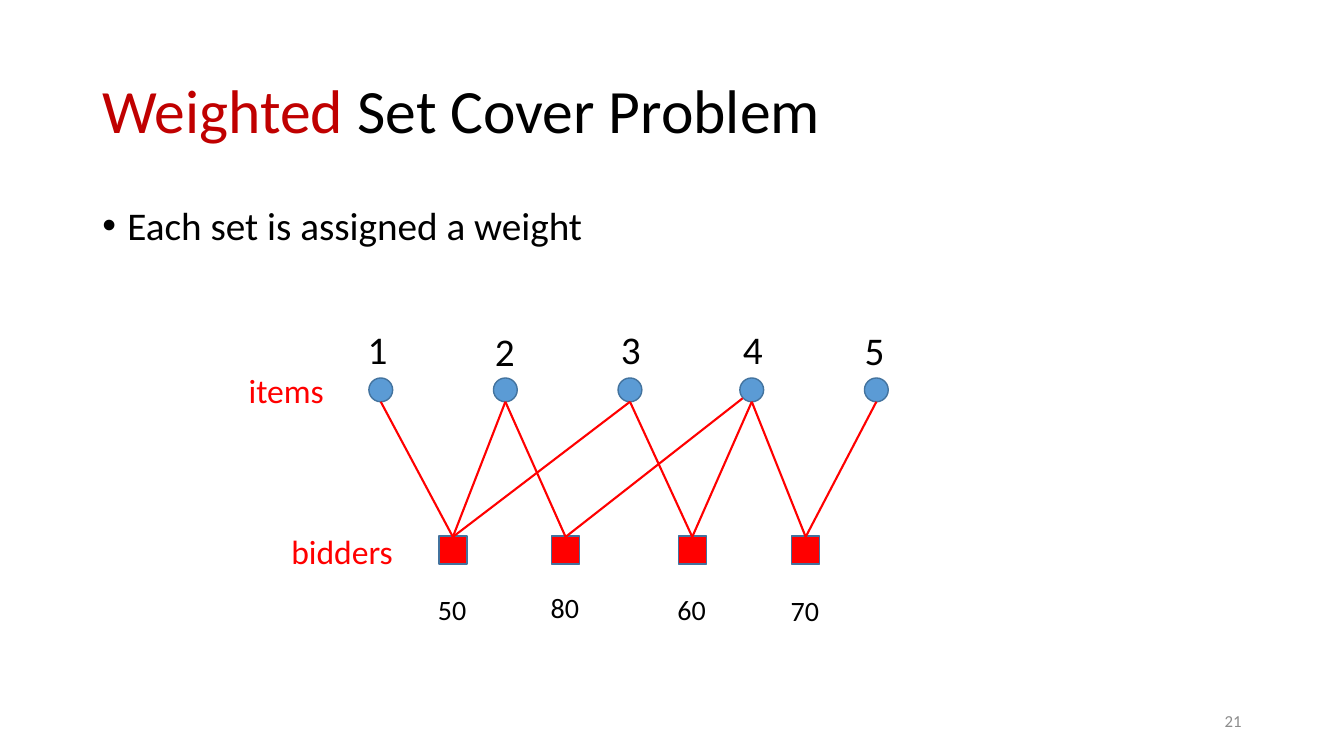
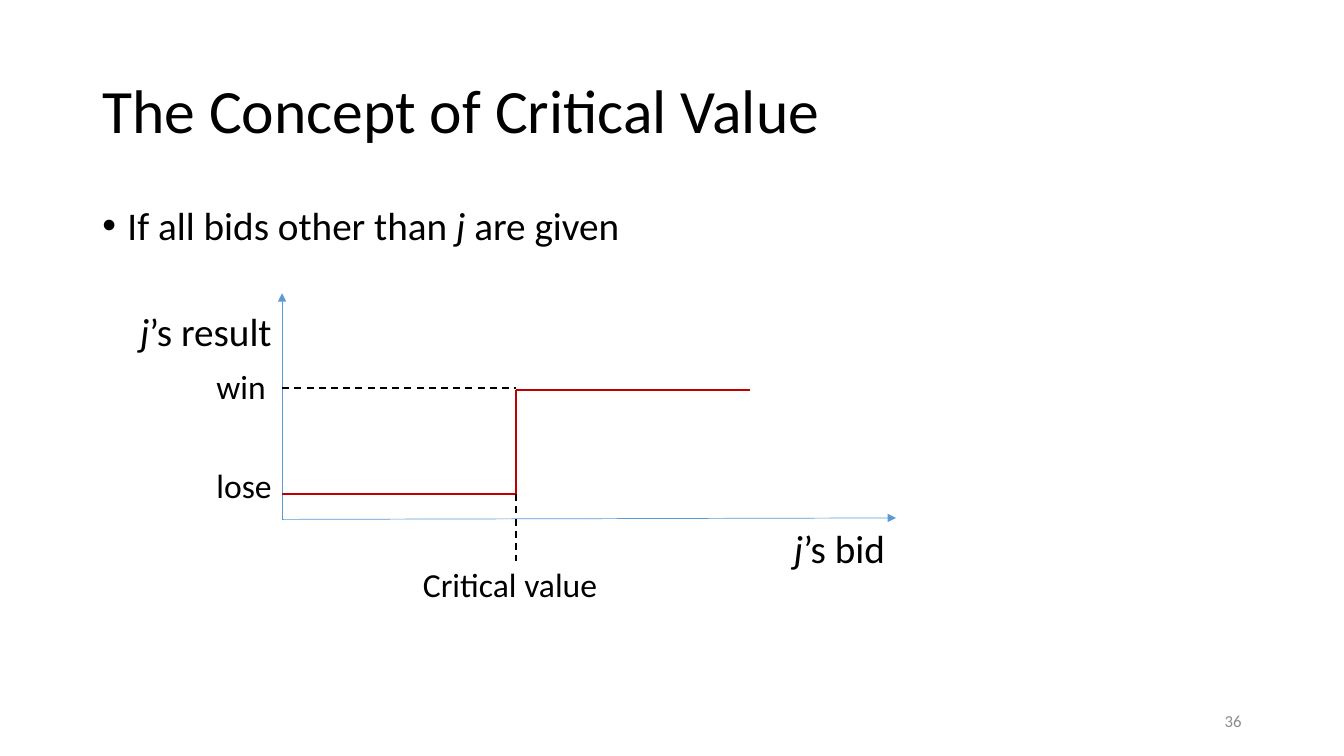
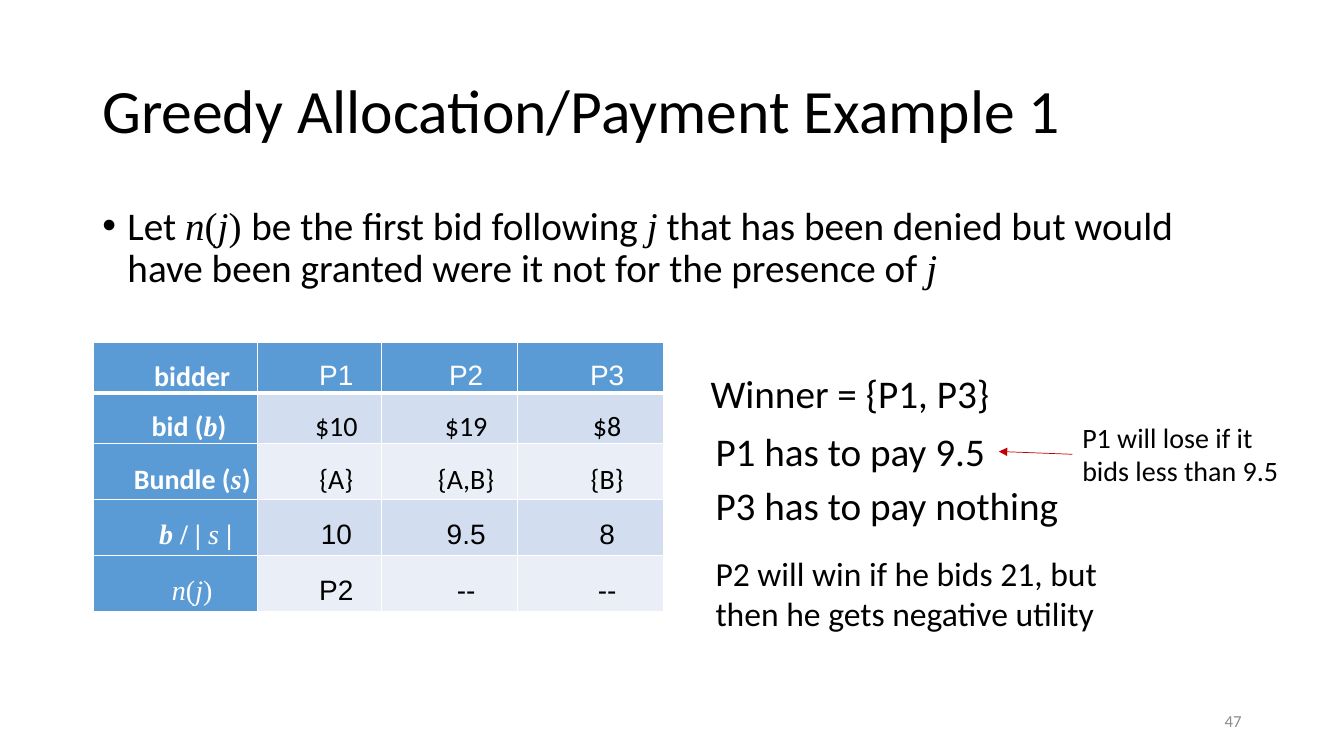
from lxml import etree
from pptx import Presentation
from pptx.dml.color import RGBColor
from pptx.enum import dml, shapes, text
from pptx.oxml import ns
from pptx.util import Pt

BLACK = RGBColor(0x00, 0x00, 0x00)
WHITE = RGBColor(0xFF, 0xFF, 0xFF)
GRAY = RGBColor(0x8C, 0x8C, 0x8C)
RED = RGBColor(0xFF, 0x00, 0x00)
DARK = RGBColor(0xC0, 0x00, 0x00)
BLUE = RGBColor(0x5B, 0x9B, 0xD5)
EDGE = RGBColor(0x43, 0x73, 0x9E)
PALE = RGBColor(0xD2, 0xDE, 0xEF)
LIGHT = RGBColor(0xEA, 0xEF, 0xF7)
LEFT, MID, RIGHT = text.PP_ALIGN.LEFT, text.PP_ALIGN.CENTER, text.PP_ALIGN.RIGHT
TOP, CENTER, BOTTOM = text.MSO_ANCHOR.TOP, text.MSO_ANCHOR.MIDDLE, text.MSO_ANCHOR.BOTTOM


def say(host, runs, box=None, size=28, ink=BLACK, align=LEFT, anchor=TOP,
        wrap=True, lead=None, before=None, indent=None, bullet=None):
    """Write runs in a new box on a slide, or in a table cell.

    A run is a string or (string, flags): b bold, i italic, t Times,
    a Arial, r dark red.
    """
    if box:
        host = host.shapes.add_textbox(*map(Pt, box))
        host.text_frame.word_wrap = wrap
        host.text_frame.vertical_anchor = anchor
    else:
        host.vertical_anchor = anchor
    para = host.text_frame.paragraphs[0]
    para.alignment = align
    para.line_spacing = lead
    if before:
        para.space_before = Pt(before)
    props = para._p.get_or_add_pPr()
    if indent:
        props.set("marL", str(Pt(indent[0])))
        props.set("indent", str(Pt(indent[1])))
    if bullet:
        etree.SubElement(props, ns.qn("a:buFont")).set("typeface", "Arial")
        etree.SubElement(props, ns.qn("a:buChar")).set("char", bullet)
    for part in [runs] if isinstance(runs, str) else runs:
        words, flags = (part, "") if isinstance(part, str) else part
        run = para.add_run()
        run.text = words
        font = run.font
        font.name = ("Times New Roman" if "t" in flags
                     else "Arial" if "a" in flags else "Calibri")
        font.size = Pt(size)
        font.bold = "b" in flags
        font.italic = "i" in flags
        font.color.rgb = DARK if "r" in flags else ink


def draw(page, ends, ink, width, dash=False, arrow=False):
    """Draw a straight line between two points."""
    wire = page.shapes.add_connector(shapes.MSO_CONNECTOR.STRAIGHT, *map(Pt, ends))
    wire.line.color.rgb = ink
    wire.line.width = Pt(width)
    if dash:
        wire.line.dash_style = dml.MSO_LINE.DASH
    if arrow:
        tip = etree.SubElement(wire.line._get_or_add_ln(), ns.qn("a:tailEnd"))
        tip.set("type", "triangle")
    etree.SubElement(wire._element.spPr, ns.qn("a:effectLst"))


deck = Presentation()
deck.slide_width, deck.slide_height = Pt(960), Pt(540)

# Title, bullet and number of each slide
heads = [
    ([("Weighted", "r"), " Set Cover Problem"], "Each set is assigned a weight", "21"),
    ("The Concept of Critical Value",
     ["If all bids other than ", ("j ", "i"), "are given"], "36"),
    ("Greedy Allocation/Payment Example 1",
     ["Let ", ("n", "it"), ("(", "t"), ("j", "it"), (") ", "t"),
      "be the ﬁrst bid following ", ("j", "it"),
      " that has been denied but would have been granted were it not for"
      " the presence of ", ("j", "it")], "47"),
]
pages = []
for title, body, num in heads:
    page = deck.slides.add_slide(deck.slide_layouts[6])
    say(page, title, (66, 28.75, 828, 104.4), size=44, anchor=CENTER, lead=0.9)
    say(page, body, (66, 143.75, 828, 342.7), lead=0.9, before=10,
        indent=(18, -18), bullet="•")
    say(page, num, (678, 500.5, 216, 28.75), size=12, ink=GRAY,
        align=RIGHT, anchor=CENTER)
    pages.append(page)
cover, value, greedy = pages

# Set cover: item and bidder nodes
items = [272, 361, 450, 537, 626]
bids = [323.5, 404, 494.5, 575.5]
OVAL, RECT = shapes.MSO_SHAPE.OVAL, shapes.MSO_SHAPE.RECTANGLE
for kind, row, top, side, tint in [(OVAL, items, 270, 17, BLUE),
                                   (RECT, bids, 383, 20, RED)]:
    for x in row:
        node = cover.shapes.add_shape(kind, Pt(x - side / 2), Pt(top),
                                      Pt(side), Pt(side))
        node.shadow.inherit = False
        node.fill.solid()
        node.fill.fore_color.rgb = tint
        node.line.color.rgb = EDGE
        node.line.width = Pt(1)

# Set cover: links from item to bidder, with a shift of the upper end
links = [(1, 1, 0, 0), (2, 1, 0, 0), (3, 1, 0, 0), (2, 2, 0, 0), (4, 2, -6.5, -2.5),
         (3, 3, 0, 0), (4, 3, 0, 0), (4, 4, 0, 0), (5, 4, 0, 0)]
for item, bid, dx, dy in links:
    draw(cover, (items[item - 1] + dx, 287 + dy, bids[bid - 1], 383.5), RED, 1.5)

# Set cover: labels
say(cover, "bidders", (201, 376, 88, 36), size=24, ink=RED, wrap=False)
say(cover, "items", (170.5, 260.5, 69, 36), size=24, ink=RED, wrap=False)
spots = [(255.5, 229), (346.5, 230.5), (436.5, 228.5), (523.5, 228.5), (610.5, 229.5)]
for num, (x, y) in enumerate(spots, 1):
    say(cover, str(num), (x, y, 27.5, 41))
for x, cost, y in zip(bids, ["50", "80", "60", "70"], [419, 417.5, 419, 420]):
    say(cover, cost, (x - 17.75, y, 35.5, 31.5), size=20, anchor=BOTTOM, wrap=False)

# Critical value: axes, step and guides
X0, XC, X1 = 201.5, 368.5, 535.5
WIN, LOSE = 278.5, 353
for ends in [(X0, 371, 640, 370), (X0, 371, X0, 209.5)]:
    draw(value, ends, BLUE, 0.5, arrow=True)
for ends in [(X0, LOSE, XC, LOSE), (XC, WIN, X1, WIN), (XC, WIN, XC, LOSE)]:
    draw(value, ends, DARK, 1.5)
for ends in [(X0, 277, XC, 277), (XC, LOSE, XC, 401)]:
    draw(value, ends, BLACK, 1.25, dash=True)

# Critical value: labels
say(value, [("j", "i"), "’s bid"], (560, 371, 80, 41), wrap=False)
say(value, [("j", "i"), "’s result"], (93, 216, 109, 41), wrap=False)
for words, box in [("win", (147.5, 257.5, 66, 36)), ("lose", (147.5, 328.5, 66, 36)),
                   ("Critical value", (295, 399, 147, 36))]:
    say(value, words, box, size=24)

# Greedy: table
rows = [
    [[("bidder", "b")], [("P1", "a")], [("P2", "a")], [("P3", "a")]],
    [[("bid (", "b"), ("b", "bit"), (") ", "b")], "$10", "$19", "$8"],
    [[("Bundle (", "b"), ("s", "bit"), (")", "b")], "{A}", "{A,B}", "{B}"],
    [[(" ", "bt"), ("b", "bit"), (" / | ", "bt"), ("s ", "it"), ("|", "bt")],
     [("10", "a")], [("9.5", "a")], [("8", "a")]],
    [[("n", "it"), ("(", "t"), ("j", "it"), (")", "t")],
     [("P2", "a")], [("--", "a")], [("--", "a")]],
]
wide = [117.5, 88.5, 97, 104.5]
tall = [34.5, 34.5, 40, 40, 40]
grid = greedy.shapes.add_table(5, 4, Pt(66.5), Pt(244.5), Pt(sum(wide)),
                               Pt(sum(tall))).table
for col, size in zip(grid.columns, wide):
    col.width = Pt(size)
for r, row in enumerate(rows):
    grid.rows[r].height = Pt(tall[r])
    for c, runs in enumerate(row):
        cell = grid.cell(r, c)
        head = r == 0 or c == 0
        cell.margin_top = cell.margin_bottom = 0
        cell.margin_left = cell.margin_right = Pt(5 if c else 0)
        thick = {"lnT": 3 if r == 1 else 1, "lnB": 3 if r == 0 else 1}
        for side in ["lnL", "lnR", "lnT", "lnB"]:
            edge = etree.SubElement(cell._tc.get_or_add_tcPr(), ns.qn("a:" + side))
            edge.set("w", str(Pt(thick.get(side, 1))))
            fill = etree.SubElement(edge, ns.qn("a:solidFill"))
            etree.SubElement(fill, ns.qn("a:srgbClr")).set("val", str(WHITE))
        cell.fill.solid()
        cell.fill.fore_color.rgb = BLUE if head else PALE if r % 2 else LIGHT
        say(cell, runs, size=20, ink=WHITE if head else BLACK, align=MID,
            anchor=CENTER, lead=1.5, indent=(0, 24))

# Greedy: outcome
for words, box in [("Winner = {P1, P3}", (500.5, 260.5, 216, 41)),
                   ("P1 has to pay 9.5", (504, 302, 209.5, 41)),
                   ("P3 has to pay nothing", (504, 340.5, 262, 41))]:
    say(greedy, words, box, wrap=False)
draw(greedy, (766, 324.5, 713.5, 322.5), DARK, 0.5, arrow=True)
say(greedy, "P1 will lose if it bids less than 9.5", (766, 296.5, 163, 55.5), size=20)
say(greedy, "P2 will win if he bids 21, but then he gets negative utility",
    (504, 391.5, 309, 65.5), size=24)

deck.save("out.pptx")
